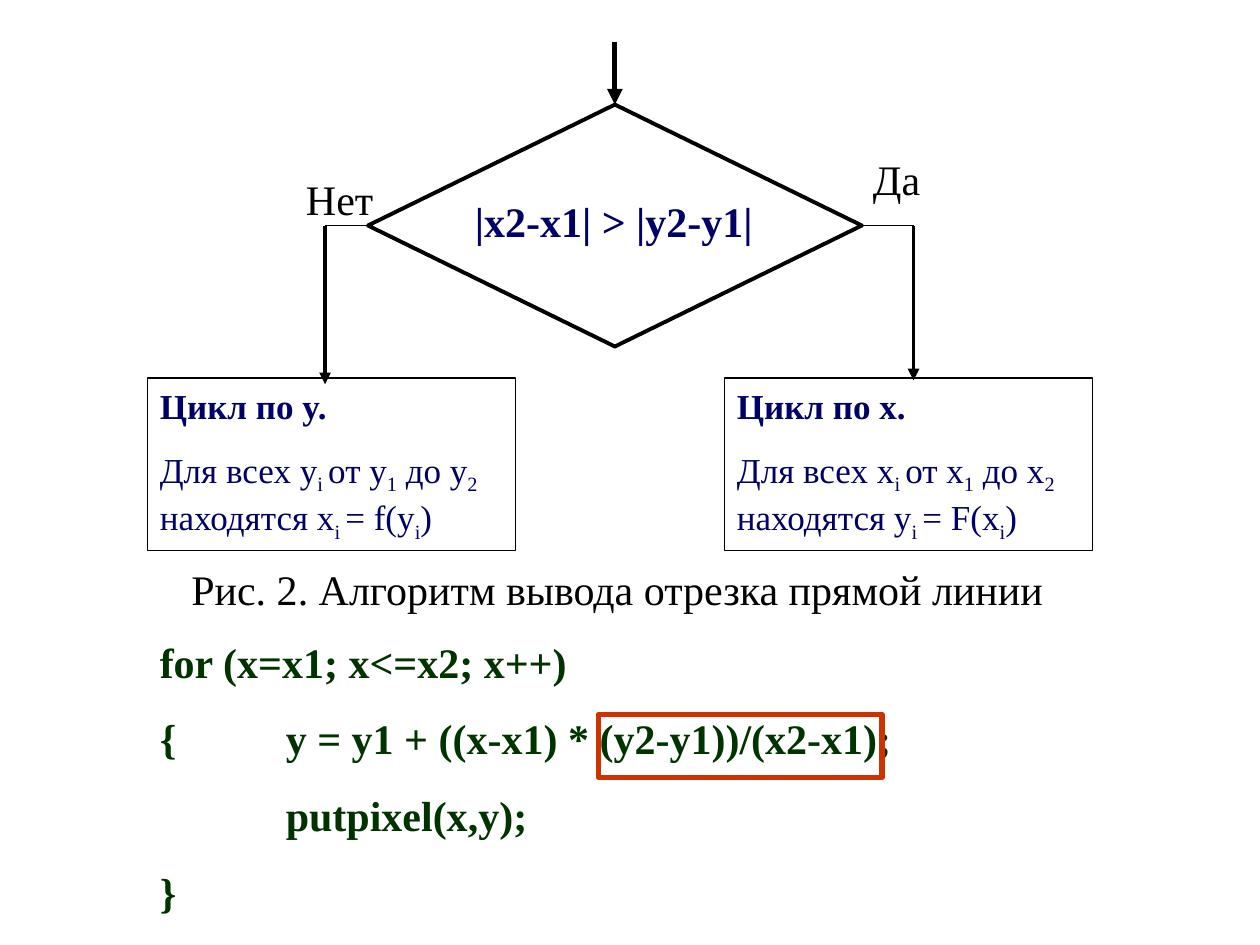
import pptx
import pptx.util
import pptx.dml.color
import pptx.enum.shapes
import pptx.enum.text
import pptx.oxml
import pptx.oxml.ns

Inches = pptx.util.Inches
Pt = pptx.util.Pt
KIND = pptx.enum.shapes.MSO_SHAPE
COLORS = {"ink": "000000", "blue": "000066", "green": "003300", "red": "CC3300"}


def color(name):
    return pptx.dml.color.RGBColor.from_string(COLORS[name])


def add_tag(parent, tag, **attrs):
    node = pptx.oxml.parse_xml(f"<a:{tag} {pptx.oxml.ns.nsdecls('a')}/>")
    for key, value in attrs.items():
        node.set(key, value)
    parent.append(node)
    return node


def add_box(slide, kind, place, line="ink", width=0.75):
    """Add an unfilled outline shape."""
    box = slide.shapes.add_shape(kind, *map(Inches, place))
    box.shadow.inherit = False
    box.fill.background()
    box.line.color.rgb = color(line)
    box.line.width = Pt(width)
    return box


def write(shape, lines, ink, size=24, bold=(), tab=None):
    """Fill a shape with lines; parts between underscores are subscripts."""
    frame = shape.text_frame
    frame.word_wrap = True
    frame.auto_size = pptx.enum.text.MSO_AUTO_SIZE.SHAPE_TO_FIT_TEXT
    frame.vertical_anchor = pptx.enum.text.MSO_ANCHOR.TOP
    for row, line in enumerate(lines):
        para = frame.paragraphs[0] if row == 0 else frame.add_paragraph()
        para.alignment = pptx.enum.text.PP_ALIGN.LEFT
        para.space_before = Pt(size * 0.625 if row else 0)
        if tab:
            stops = add_tag(para._p.get_or_add_pPr(), "tabLst")
            add_tag(stops, "tab", pos=str(Inches(tab)), algn="l")
        style = {"name": "Times New Roman", "size": Pt(size), "bold": row in bold}
        for part, text in enumerate(line.split("_")):
            run = para.add_run()
            run.text = text
            for key, value in style.items():
                setattr(run.font, key, value)
            run.font.color.rgb = color(ink)
            if part % 2:
                run._r.get_or_add_rPr().set("baseline", "-25000")


def add_text(slide, place, lines, ink="ink", **style):
    write(slide.shapes.add_textbox(*map(Inches, place)), lines, ink, **style)


def add_line(slide, start, end, width=0.75, arrow=False):
    line = slide.shapes.add_connector(
        pptx.enum.shapes.MSO_CONNECTOR.STRAIGHT, *map(Inches, start + end))
    line.line.color.rgb = color("ink")
    line.line.width = Pt(width)
    if arrow:
        add_tag(line.line._get_or_add_ln(), "tailEnd", type="triangle")
    add_tag(line._element.spPr, "effectLst")
    return line


def add_branch(slide, test, side, start, turn, foot, left, var, other, func):
    """Draw one way out of the test, down to its loop box."""
    box = add_box(slide, KIND.RECTANGLE, (left, 3, 2.92, 1.37))
    write(box, [f"Цикл по {var}.",
                f"Для всех {var}_i _от {var}_1_ до {var}_2_"
                f" находятся {other}_i _= {func}({var}_i_)"],
          "blue", size=20, bold=(0,))
    add_line(slide, (start, 1.79), (turn, 1.79)).begin_connect(test, side)
    add_line(slide, (turn, 1.79), (turn, foot), 2.25, arrow=True)


def main():
    deck = pptx.Presentation()
    deck.slide_width, deck.slide_height = Inches(10), Inches(7.5)
    slide = deck.slides.add_slide(deck.slide_layouts[6])

    test = add_box(slide, KIND.FLOWCHART_DECISION, (2.92, 0.83, 3.92, 1.92), width=2.25)
    add_text(slide, (3.67, 1.5, 2.42, 0.5), ["|x2-x1| > |y2-y1|"], "blue", bold=(0,))
    add_line(slide, (4.88, 0.33), (4.88, 0.83), 3, arrow=True).end_connect(test, 0)

    add_branch(slide, test, 1, 2.92, 2.58, 3.05, 1.17, "y", "x", "f")
    add_branch(slide, test, 3, 6.84, 7.25, 3.02, 5.75, "x", "y", "F")
    add_text(slide, (6.83, 1.17, 1.08, 0.5), ["Да"])
    add_text(slide, (2.33, 1.33, 1.08, 0.5), ["Нет"])

    add_text(slide, (1.42, 4.42, 7.42, 0.5),
             ["Рис. 2. Алгоритм вывода отрезка прямой линии"])
    code = ["for (x=x1; x<=x2; x++)",
            "{\ty = y1 + ((x-x1) * (y2-y1))/(x2-x1);",
            "\tputpixel(x,y);",
            "}"]
    add_text(slide, (1.17, 5, 7.67, 2.33), code, "green", bold=range(4), tab=1)
    add_box(slide, KIND.RECTANGLE, (4.75, 5.67, 2.25, 0.5), "red", 3)

    deck.save("out.pptx")


if __name__ == "__main__":
    main()
